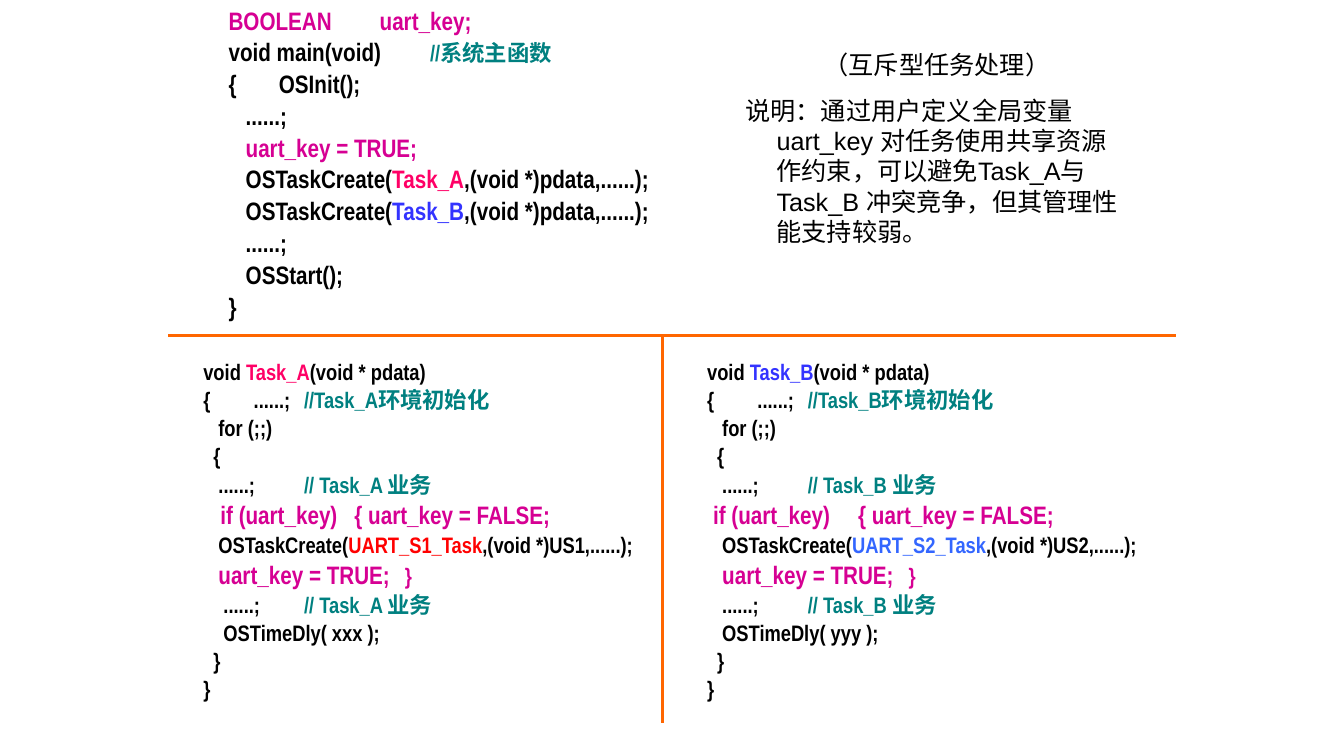
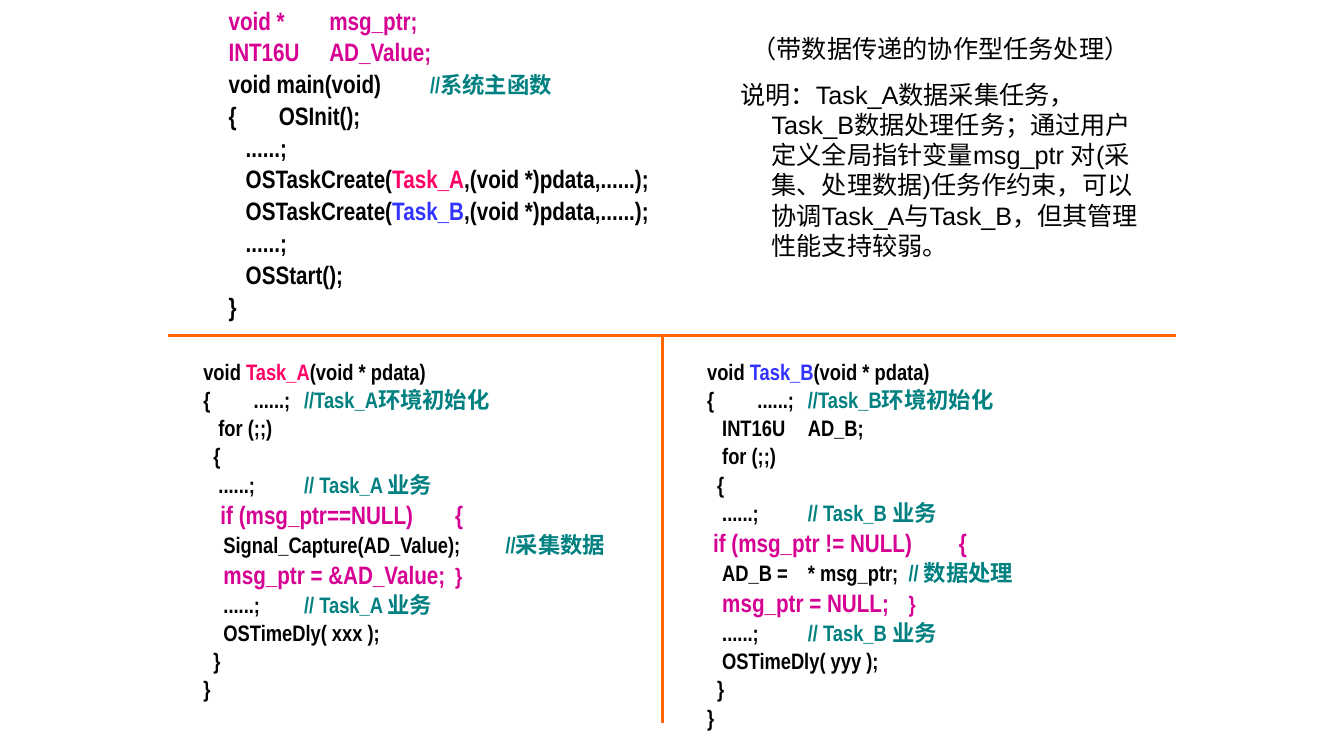
from lxml.etree import SubElement
from pptx import Presentation
from pptx.dml.color import RGBColor
from pptx.enum.shapes import MSO_CONNECTOR as Connector
from pptx.enum.text import MSO_AUTO_SIZE as AutoSize, PP_ALIGN as Align
from pptx.oxml.ns import qn
from pptx.util import Inches, Pt

# Shared style
BLACK, TEAL, MAGENTA, ORANGE = "000000", "008080", "D60093", "FF6600"
TASK_COLORS = {"A": "FF0066", "B": "3333FF"}
CODE_FONT, NOTE_FONT = "Arial Narrow", "Arial"
LARGE, SMALL = 18, 16
STEP = 0.05  # width of one code indent unit


def rgb(value):
    return RGBColor.from_string(value)


def text(content, color=BLACK, size=SMALL, font=CODE_FONT, bold=True):
    return dict(content=content, color=color, size=size, font=font, bold=bold)


def line(*runs, indent=0, hang=0, stops=(), before=1, align=None):
    return dict(runs=runs, indent=indent, hang=hang, stops=stops,
                before=before, align=align)


class Deck:
    def __init__(self):
        self.prs = Presentation()
        self.prs.slide_width, self.prs.slide_height = Inches(13.34), Inches(7.5)
        self.slide = None

    def add_slide(self):
        self.slide = self.prs.slides.add_slide(self.prs.slide_layouts[6])

    def text_box(self, left, top, width, height, lines):
        box = self.slide.shapes.add_textbox(
            Inches(left), Inches(top), Inches(width), Inches(height))
        frame = box.text_frame
        frame.word_wrap = True
        frame.auto_size = AutoSize.SHAPE_TO_FIT_TEXT
        for number, item in enumerate(lines):
            paragraph = frame.add_paragraph() if number else frame.paragraphs[0]
            self.fill_paragraph(paragraph, item)

    def fill_paragraph(self, paragraph, item):
        paragraph.space_before = Pt(item["before"])
        paragraph.alignment = item["align"]
        properties = paragraph._p.get_or_add_pPr()
        properties.set("marL", str(Inches(item["hang"])))
        properties.set("indent", str(Inches(item["indent"] - item["hang"])))
        if item["stops"]:
            tabs = SubElement(properties, qn("a:tabLst"))
            for stop in item["stops"]:
                SubElement(tabs, qn("a:tab"), pos=str(Inches(stop)), algn="l")
        for part in item["runs"]:
            run = paragraph.add_run()
            run.text = part["content"]
            run.font.size, run.font.bold = Pt(part["size"]), part["bold"]
            run.font.name = part["font"]
            run.font.color.rgb = rgb(part["color"])

    def rule(self, x1, y1, x2, y2):
        rule = self.slide.shapes.add_connector(
            Connector.STRAIGHT, Inches(x1), Inches(y1), Inches(x2), Inches(y2))
        rule.line.color.rgb = rgb(ORANGE)
        rule.line.width = Pt(2.25)
        SubElement(rule._element.spPr, qn("a:effectLst"))

    def dividers(self):
        self.rule(1.67, 3.33, 11.67, 3.33)
        self.rule(6.58, 3.33, 6.58, 7.17)

    def explanation(self, left, top, width, height, heading, body):
        style = dict(size=LARGE, font=NOTE_FONT, bold=False)
        self.text_box(left, top, width, height, [
            line(text(heading, **style), hang=0.31, before=11.2, align=Align.CENTER),
            line(text(body, **style), hang=0.31, before=11.2)])


# Code listings
def main_line(*runs, **layout):
    return line(*runs, before=1.1, **layout)


def declaration(content, stop):
    return main_line(text(content, MAGENTA, LARGE), stops=[stop])


def main_code(declarations, setup=()):
    def statement(content):
        return main_line(text(content, size=LARGE), indent=0.17)

    creates = [main_line(text("OSTaskCreate(", size=LARGE),
                         text(f"Task_{letter}", color, LARGE),
                         text(",(void *)pdata,......);", size=LARGE), indent=0.17)
               for letter, color in TASK_COLORS.items()]
    return [
        *declarations,
        line(text("void main(void)\t", size=LARGE), text("//系统主函数", TEAL), stops=[2]),
        main_line(text("{\tOSInit();", size=LARGE), stops=[0.19]),
        statement("......;"), *setup, *creates,
        statement("......;"), statement("OSStart();"),
        main_line(text("}", size=LARGE))]


def condition(content, indent, stop):
    return line(text(content, MAGENTA, LARGE), indent=indent, stops=[stop], before=1.1)


def release(content, units, stop):
    return line(text(content + "\t", MAGENTA, LARGE), text("}", MAGENTA),
                indent=units * STEP, stops=[stop])


def task_code(letter, work, delay, tail_units, tail_stop, variables=()):
    name = f"Task_{letter}"

    def statement(content, units=3):
        return line(text(content), indent=units * STEP)

    def business(units, stop):
        return line(text("......;\t"), text(f"// {name} 业务", TEAL),
                    indent=units * STEP, stops=[stop])

    return [
        line(text("void "), text(name, TASK_COLORS[letter]), text("(void * pdata)")),
        line(text("{\t......;\t"), text(f"//{name}环境初始化", TEAL), stops=[0.22, 0.89]),
        *variables,
        statement("for (;;)"), statement("{", 2),
        business(3, 0.87), *work, business(tail_units, tail_stop),
        statement(f"OSTimeDly( {delay} );", tail_units),
        statement("}", 2), statement("}", 0)]


def task_a(work):
    return task_code("A", work, "xxx", 4, 0.87)


def task_b(work, variables=()):
    return task_code("B", work, "yyy", 3, 0.82, variables)


def uart_work(port, color, indent, stop):
    return [
        condition("if (uart_key)\t{ uart_key = FALSE;", indent, stop),
        line(text("OSTaskCreate("), text(f"UART_S{port}_Task", color),
             text(f",(void *)US{port},......);"), indent=3 * STEP),
        release("uart_key = TRUE;", 3, 1.97)]


def code_slide(deck, main, left_task, right_task, right_height, explanation):
    deck.add_slide()
    deck.text_box(2.17, 0, 5.08, 3.24, main)
    deck.text_box(1.92, 3.5, 4.5, 3.52, left_task)
    deck.text_box(6.92, 3.5, 4.58, right_height, right_task)
    deck.dividers()
    deck.explanation(*explanation)


def main():
    deck = Deck()

    # Mutually exclusive tasks
    code_slide(
        deck,
        main_code([declaration("BOOLEAN\tuart_key;", 1.31)],
                  [main_line(text("uart_key = TRUE;", MAGENTA, LARGE), indent=0.17)]),
        task_a(uart_work(1, "FF0000", 0.17, 1.45)),
        task_b(uart_work(2, "3366FF", 0.06, 1.33)),
        3.52,
        (7.3, 0.44, 4, 2.06, "（互斥型任务处理）",
         "说明：通过用户定义全局变量uart_key 对任务使用共享资源作约束，"
         "可以避免Task_A与Task_B 冲突竞争，但其管理性能支持较弱。"))

    # Cooperating tasks that pass data
    capture = [
        condition("if (msg_ptr==NULL)\t{", 0.17, 2.2),
        line(text("Signal_Capture(AD_Value);\t"), text("//采集数据", TEAL),
             indent=4 * STEP, stops=[2.71]),
        release("msg_ptr = &AD_Value;", 4, 2.53)]
    processing = [
        condition("if (msg_ptr != NULL)\t{", 0.06, 2.15),
        line(text("AD_B =\t* msg_ptr;\t"), text("// 数据处理", TEAL),
             indent=3 * STEP, stops=[0.9, 2.16]),
        release("msg_ptr = NULL;", 3, 1.92)]
    code_slide(
        deck,
        main_code([declaration("void *\tmsg_ptr;", 0.67),
                   declaration("INT16U\tAD_Value;", 0.88)]),
        task_a(capture),
        task_b(processing, [line(text("INT16U\tAD_B;"), indent=3 * STEP, stops=[0.93])]),
        3.8,
        (7.25, 0.28, 4.17, 2.36, "（带数据传递的协作型任务处理）",
         "说明：Task_A数据采集任务，Task_B数据处理任务；通过用户定义全局指针变量"
         "msg_ptr 对(采集、处理数据)任务作约束，可以协调Task_A与Task_B，"
         "但其管理性能支持较弱。"))

    deck.prs.save("out.pptx")


if __name__ == "__main__":
    main()
